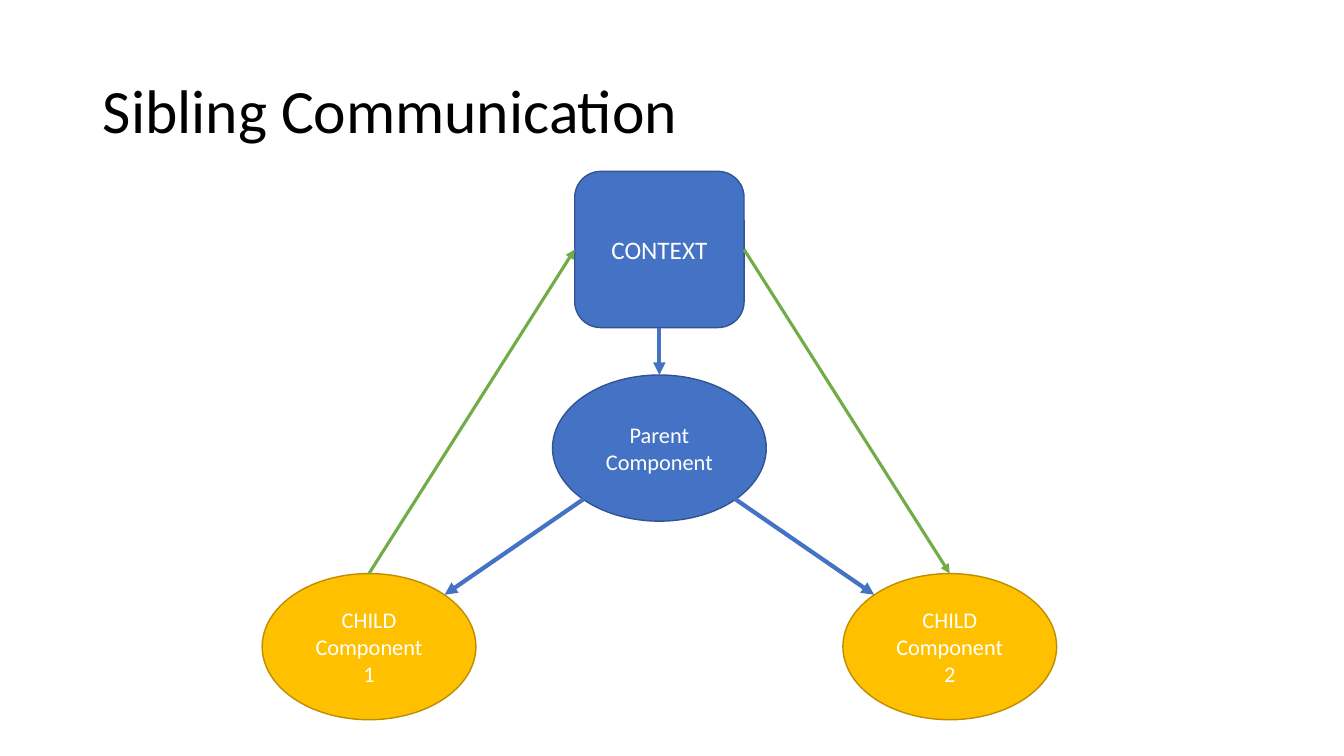
from lxml import etree
from pptx import Presentation
from pptx.dml.color import RGBColor
from pptx.enum.shapes import MSO_CONNECTOR, MSO_SHAPE
from pptx.enum.text import MSO_ANCHOR, MSO_AUTO_SIZE, PP_ALIGN
from pptx.oxml.ns import qn
from pptx.util import Pt

EMU_PER_PX = 9144  # 100 px to the inch
TITLE_ONLY = 5
STRAIGHT = MSO_CONNECTOR.STRAIGHT
ELLIPSE, ROUNDED = MSO_SHAPE.OVAL, MSO_SHAPE.ROUNDED_RECTANGLE
MIDDLE, NO_FIT = MSO_ANCHOR.MIDDLE, MSO_AUTO_SIZE.NONE
LEFT, CENTER = PP_ALIGN.LEFT, PP_ALIGN.CENTER
TOP, LEFT_SIDE, BOTTOM, RIGHT_SIDE = range(4)

FONT = "Calibri"
BLACK = RGBColor(0x00, 0x00, 0x00)
WHITE = RGBColor(0xFF, 0xFF, 0xFF)
BLUE = RGBColor(0x44, 0x72, 0xC4)
DARK_BLUE = RGBColor(0x32, 0x54, 0x91)
GOLD = RGBColor(0xFF, 0xC0, 0x00)
DARK_GOLD = RGBColor(0xBD, 0x8E, 0x00)
GREEN = RGBColor(0x70, 0xAD, 0x47)

AXIS = 654
CHILD_OFFSET = 288
NODE_WIDTH, NODE_HEIGHT = 212, 145
PARENT_TOP, CHILD_TOP = 372, 569
# Distance from an ellipse's centre to its diagonal connection points
DIAGONAL_X, DIAGONAL_Y = 75, 51


def px(*lengths):
    return [length * EMU_PER_PX for length in lengths]


def style_paragraph(para, size, color, alignment):
    para.alignment = alignment
    para.font.name = FONT
    para.font.size = Pt(size)
    para.font.color.rgb = color


def set_title(page, text):
    title = page.shapes.title
    title.left, title.top, title.width, title.height = px(92, 40, 1150, 145)
    frame = title.text_frame
    frame.text = text
    frame.auto_size = NO_FIT
    frame.vertical_anchor = MIDDLE
    para = frame.paragraphs[0]
    para.line_spacing = 0.9
    style_paragraph(para, 44, BLACK, LEFT)


def add_node(page, kind, center, top, width, height, text, size, fill, outline):
    node = page.shapes.add_shape(kind, *px(center - width // 2, top, width, height))
    node.shadow.inherit = False
    node.fill.solid()
    node.fill.fore_color.rgb = fill
    node.line.color.rgb = outline
    node.line.width = Pt(1)
    frame = node.text_frame
    frame.word_wrap = True
    frame.vertical_anchor = MIDDLE
    frame.text = text
    for para in frame.paragraphs:
        style_paragraph(para, size, WHITE, CENTER)
    return node


def add_component(page, center, top, text, fill, outline):
    return add_node(page, ELLIPSE, center, top, NODE_WIDTH, NODE_HEIGHT,
                    text, 16, fill, outline)


def add_arrow(page, color, width, ends=(0, 0, 0, 0)):
    arrow = page.shapes.add_connector(STRAIGHT, *px(*ends))
    arrow.line.color.rgb = color
    arrow.line.width = Pt(width)
    properties = arrow.line._get_or_add_ln()
    etree.SubElement(properties, qn("a:tailEnd"), type="triangle")
    etree.SubElement(properties.getparent(), qn("a:effectLst"))
    return arrow


def join_nodes(page, color, width, start, start_side, end, end_side):
    arrow = add_arrow(page, color, width)
    arrow.begin_connect(start, start_side)
    arrow.end_connect(end, end_side)


def main():
    deck = Presentation()
    deck.slide_width, deck.slide_height = px(1333, 750)
    page = deck.slides.add_slide(deck.slide_layouts[TITLE_ONLY])
    set_title(page, "Sibling Communication")

    parent = add_component(page, AXIS, PARENT_TOP, "Parent Component", BLUE, DARK_BLUE)
    children = []
    for number, direction in ((1, -1), (2, 1)):
        center = AXIS + direction * CHILD_OFFSET
        children.append(add_component(page, center, CHILD_TOP,
                                      f"CHILD Component\n{number}", GOLD, DARK_GOLD))
        add_arrow(page, BLUE, 3, (
            AXIS + direction * DIAGONAL_X,
            PARENT_TOP + NODE_HEIGHT // 2 + DIAGONAL_Y,
            center - direction * DIAGONAL_X,
            CHILD_TOP + NODE_HEIGHT // 2 - DIAGONAL_Y,
        ))

    context = add_node(page, ROUNDED, AXIS, 170, 168, 155, "CONTEXT", 18, BLUE, DARK_BLUE)
    join_nodes(page, GREEN, 2.25, children[0], TOP, context, LEFT_SIDE)
    join_nodes(page, GREEN, 2.25, context, RIGHT_SIDE, children[1], TOP)
    join_nodes(page, BLUE, 3, context, BOTTOM, parent, TOP)

    deck.save("out.pptx")


if __name__ == "__main__":
    main()
